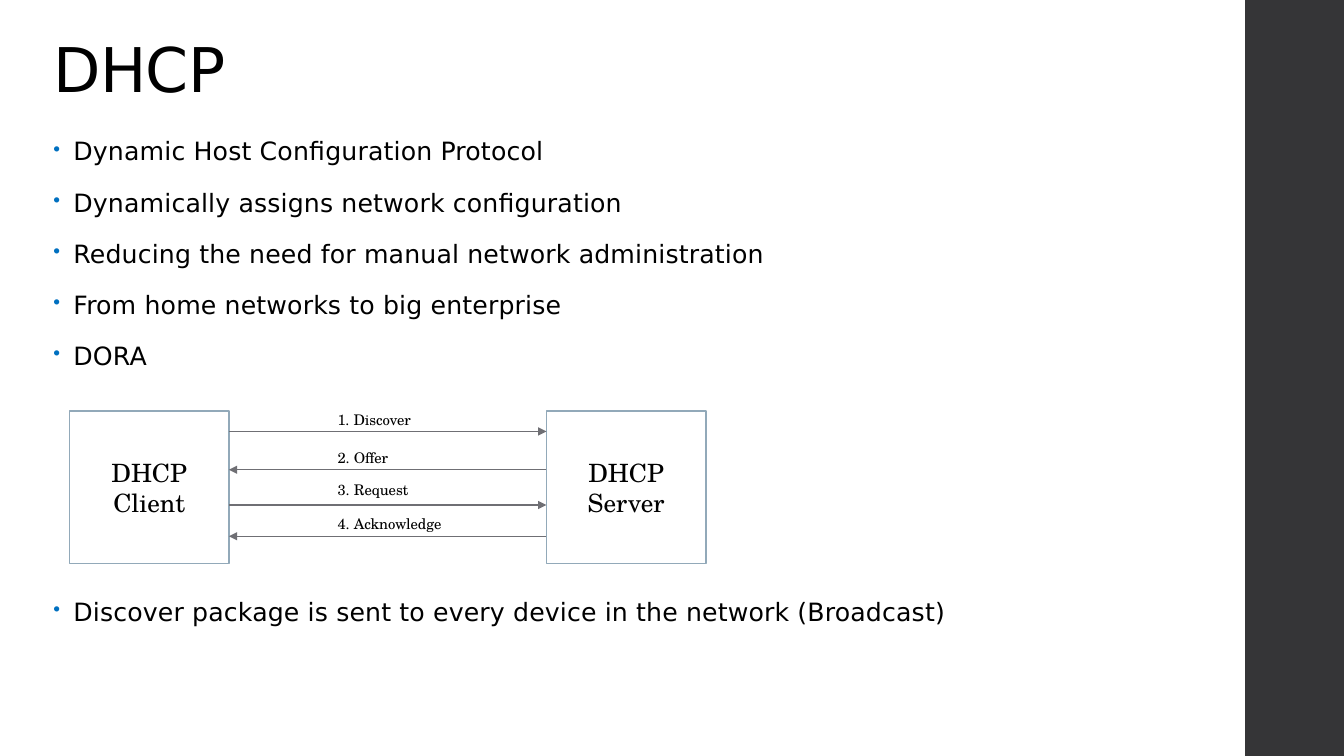
from dataclasses import dataclass

from lxml import etree
from pptx import Presentation
from pptx import util as u
from pptx.dml.color import RGBColor
from pptx.enum import shapes, text
from pptx.oxml.ns import qn


@dataclass(frozen=True)
class Theme:
    """Colours, fonts and type sizes of the slide."""
    ink: str = "000000"
    paper: str = "FFFFFF"
    sidebar: str = "353537"
    bullet: str = "0070C0"
    box_line: str = "92A9B9"
    arrow: str = "6F6F74"
    sans: str = "DejaVu Sans"
    serif: str = "TeX Gyre Schola"
    title_size: float = 44
    body_size: float = 18
    label_size: float = 10.5


THEME = Theme()
POINTS = [
    "Dynamic Host Configuration Protocol",
    "Dynamically assigns network configuration",
    "Reducing the need for manual network administration",
    "From home networks to big enterprise",
    "DORA",
    "Discover package is sent to every device in the network (Broadcast)",
]
DIAGRAM_GAP = 160
MESSAGES = [
    ("1. Discover", 0.2, -0.05),
    ("2. Offer", 0.58, 0.32),
    ("3. Request", 0.93, 0.64),
    ("4. Acknowledge", 1.24, 0.98),
]


def rgb(value):
    """Turn a hex string into a colour."""
    return RGBColor.from_string(value)


def style(p, name, size, spacing=0):
    """Set the font of a paragraph, with letter spacing in points."""
    p.font.name, p.font.size = name, u.Pt(size)
    p.font.color.rgb = rgb(THEME.ink)
    if spacing:
        p._p.pPr.find(qn("a:defRPr")).set("spc", str(round(spacing * 100)))


def add_bullet(p):
    """Give a paragraph a small coloured bullet and a hanging indent."""
    pPr = p._p.get_or_add_pPr()
    indent = u.Inches(0.2)
    pPr.set("marL", str(indent))
    pPr.set("indent", str(-indent))
    color = etree.Element(qn("a:buClr"))
    etree.SubElement(color, qn("a:srgbClr"), val=THEME.bullet)
    size = etree.Element(qn("a:buSzPct"), val="80000")
    char = etree.Element(qn("a:buChar"), char="•")
    for node in (color, size, char):
        pPr.find(qn("a:defRPr")).addprevious(node)


def add_rect(s, x, y, w, h, fill, line=None):
    """Draw a flat rectangle, outlined if a line colour is given."""
    sp = s.shapes.add_shape(shapes.MSO_SHAPE.RECTANGLE, *map(u.Inches, (x, y, w, h)))
    sp.shadow.inherit = False
    sp.fill.solid()
    sp.fill.fore_color.rgb = rgb(fill)
    if line:
        sp.line.color.rgb, sp.line.width = rgb(line), u.Pt(1.1)
    else:
        sp.line.fill.background()
    return sp


def add_title(s, x, y, w, h):
    """Place and format the title placeholder."""
    sp = s.shapes.title
    sp.left, sp.top, sp.width, sp.height = map(u.Inches, (x, y, w, h))
    tf = sp.text_frame
    tf.text = "DHCP"
    tf.auto_size = text.MSO_AUTO_SIZE.NONE
    tf.vertical_anchor = text.MSO_ANCHOR.BOTTOM
    p = tf.paragraphs[0]
    p.alignment, p.line_spacing = text.PP_ALIGN.LEFT, 0.9
    style(p, THEME.sans, THEME.title_size, -0.5)


def add_points(s, x, y, w, h):
    """Write the bullet list, leaving room for the diagram before the last point."""
    tf = s.shapes.add_textbox(*map(u.Inches, (x, y, w, h))).text_frame
    tf.word_wrap = True
    tf.text = "\n".join(POINTS)
    for p in tf.paragraphs:
        p.line_spacing, p.space_before, p.space_after = 0.95, u.Pt(14), u.Pt(2)
        style(p, THEME.sans, THEME.body_size, 0.1)
        add_bullet(p)
    tf.paragraphs[-1].space_before = u.Pt(DIAGRAM_GAP)


def add_host(s, x, y, w, h, role):
    """Draw one end of the exchange as a labelled box."""
    tf = add_rect(s, x, y, w, h, THEME.paper, THEME.box_line).text_frame
    tf.text = f"DHCP\n{role}"
    tf.vertical_anchor = text.MSO_ANCHOR.MIDDLE
    for p in tf.paragraphs:
        p.alignment = text.PP_ALIGN.CENTER
        style(p, THEME.serif, THEME.body_size)


def add_arrow(s, x1, x2, y):
    """Draw a horizontal arrow from x1 to x2."""
    c = s.shapes.add_connector(shapes.MSO_CONNECTOR.STRAIGHT, *map(u.Inches, (x1, y, x2, y)))
    c.line.color.rgb, c.line.width = rgb(THEME.arrow), u.Pt(0.75)
    etree.SubElement(c.line._get_or_add_ln(), qn("a:tailEnd"), type="triangle")
    etree.SubElement(c._element.spPr, qn("a:effectLst"))


def add_label(s, x, y, words):
    """Write the name of one message."""
    tf = s.shapes.add_textbox(*map(u.Inches, (x, y, 1.26, 0.28))).text_frame
    tf.word_wrap = False
    tf.auto_size = text.MSO_AUTO_SIZE.SHAPE_TO_FIT_TEXT
    tf.text = words
    tf.paragraphs[0].alignment = text.PP_ALIGN.LEFT
    style(tf.paragraphs[0], THEME.serif, THEME.label_size)


def add_exchange(s, x, y, w, h):
    """Draw client, server and the four messages between them."""
    host_w = 1.58
    left, right = x + host_w, x + w - host_w
    add_host(s, x, y, host_w, h, "Client")
    add_host(s, right, y, host_w, h, "Server")
    for i, (words, arrow_dy, label_dy) in enumerate(MESSAGES):
        ends = (right, left) if i % 2 else (left, right)
        add_arrow(s, *ends, y + arrow_dy)
        add_label(s, left + 0.98, y + label_dy, words)


def main():
    """Build and save the slide."""
    prs = Presentation()
    prs.slide_width, prs.slide_height = u.Inches(13.33), u.Inches(7.5)
    s = prs.slides.add_slide(prs.slide_layouts[5])
    add_rect(s, 12.35, 0, 0.98, 7.5, THEME.sidebar)
    add_title(s, 0.43, 0.22, 11.55, 0.88)
    add_points(s, 0.43, 1.32, 11.55, 5.83)
    add_exchange(s, 0.69, 4.08, 6.31, 1.51)
    prs.save("out.pptx")


if __name__ == "__main__":
    main()
